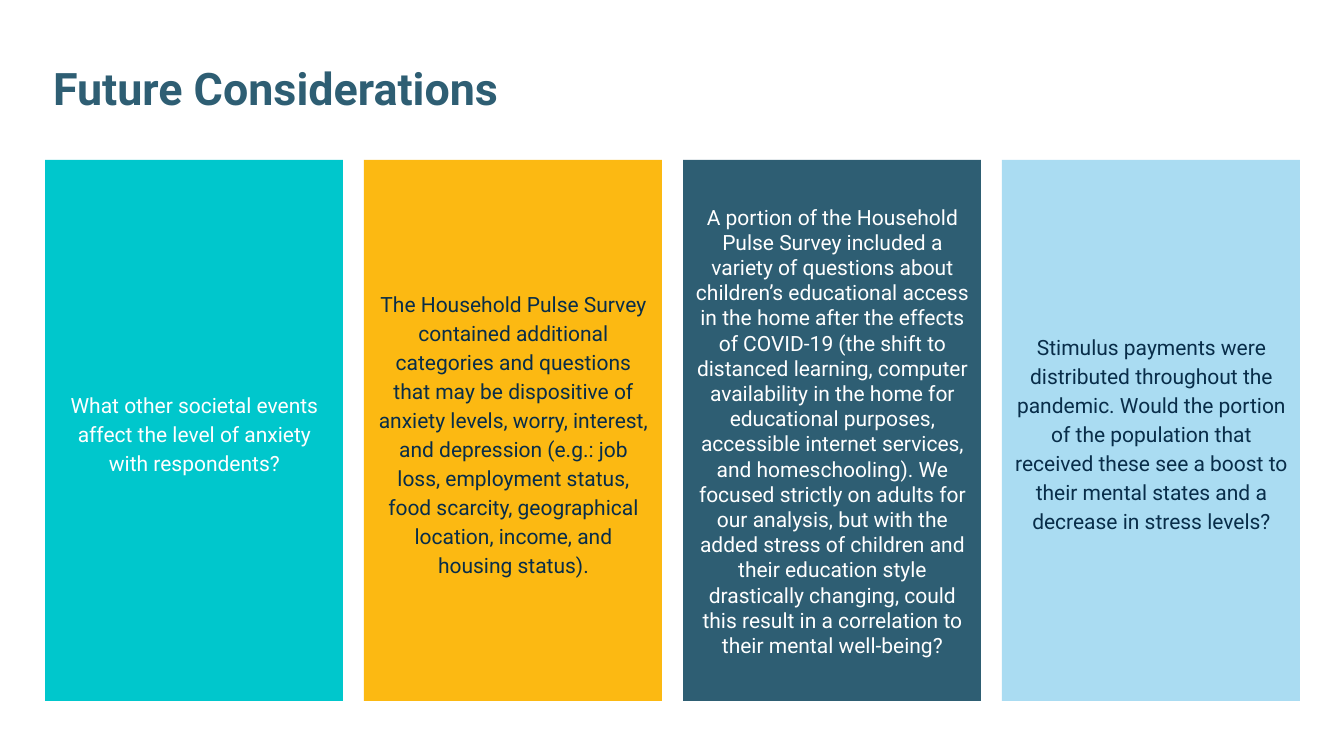
from pptx import Presentation
from pptx import util as u
from pptx.dml.color import RGBColor
from pptx.enum import shapes, text

FONT = "Roboto"
COLORS = {
    "teal": "00C7CC",
    "amber": "FCB912",
    "slate": "2E5E73",
    "sky": "AADCF2",
    "white": "FFFFFF",
    "navy": "082D49",
}
TITLE = "Future Considerations"
# fill, text colour, text height in px, line spacing, wording
CARDS = [
    ("teal", "white", 105, 1.15,
     "What other societal events affect the level of anxiety with respondents?"),
    ("amber", "navy", 306, 1.15,
     "The Household Pulse Survey contained additional categories and questions "
     "that may be dispositive of anxiety levels, worry, interest, and depression "
     "(e.g.: job loss, employment status, food scarcity, geographical location, "
     "income, and housing status)."),
    ("slate", "white", 539, 1.0,
     "A portion of the Household Pulse Survey included a variety of questions about "
     "children’s educational access in the home after the effects of COVID-19 "
     "(the shift to distanced learning, computer availability in the home for "
     "educational purposes, accessible internet services, and homeschooling). "
     "We focused strictly on adults for our analysis, but with the added stress of "
     "children and their education style drastically changing, could this result in "
     "a correlation to their mental well-being?"),
    ("sky", "navy", 220, 1.15,
     "Stimulus payments were distributed throughout the pandemic. Would the portion "
     "of the population that received these see a boost to their mental states and "
     "a decrease in stress levels?"),
]

SLIDE_W, SLIDE_H = 1344, 756
CARD_LEFT, CARD_TOP, CARD_W, CARD_H, CARD_PITCH = 45, 160, 298, 541, 319
TEXT_INDENT, TEXT_W, TEXT_MIDDLE = 2, 295, 431


def px(length):
    return u.Emu(round(length * 914400 / 100.8))


def color(name):
    return RGBColor.from_string(COLORS[name])


def write(frame, wording, size, ink, align, insets, bold=False):
    """Fill a text frame with one paragraph; insets are left, top, right, bottom."""
    frame.word_wrap = True
    frame.auto_size = text.MSO_AUTO_SIZE.NONE
    (frame.margin_left, frame.margin_top,
     frame.margin_right, frame.margin_bottom) = map(px, insets)
    para = frame.paragraphs[0]
    para.alignment = align
    span = para.add_run()
    span.text = wording
    span.font.name = FONT
    span.font.size = u.Pt(size)
    span.font.bold = bold
    span.font.color.rgb = color(ink)
    return para


def add_card(page, index, fill, ink, height, spacing, wording):
    left = CARD_LEFT + index * CARD_PITCH
    card = page.shapes.add_shape(shapes.MSO_SHAPE.RECTANGLE,
                                 px(left), px(CARD_TOP), px(CARD_W), px(CARD_H))
    card.shadow.inherit = False
    card.fill.solid()
    card.fill.fore_color.rgb = color(fill)
    card.line.fill.background()

    box = page.shapes.add_textbox(px(left + TEXT_INDENT), px(TEXT_MIDDLE - height / 2),
                                  px(TEXT_W), px(height))
    para = write(box.text_frame, wording, 15, ink, text.PP_ALIGN.CENTER, (10,) * 4)
    para.line_spacing = spacing
    tall = height > CARD_H / 2 and spacing == 1.0
    box.text_frame.vertical_anchor = (text.MSO_ANCHOR.MIDDLE if tall
                                      else text.MSO_ANCHOR.TOP)


def main():
    deck = Presentation()
    deck.slide_width, deck.slide_height = px(SLIDE_W), px(SLIDE_H)
    page = deck.slides.add_slide(deck.slide_layouts[5])

    title = page.shapes.title
    title.left, title.top, title.width, title.height = map(px, (0, 48, SLIDE_W, 57))
    write(title.text_frame, TITLE, 32, "slate", text.PP_ALIGN.LEFT,
          (53, 13, 13, 13), bold=True)
    title.text_frame.vertical_anchor = text.MSO_ANCHOR.TOP

    for index, card in enumerate(CARDS):
        add_card(page, index, *card)
    deck.save("out.pptx")


if __name__ == "__main__":
    main()
